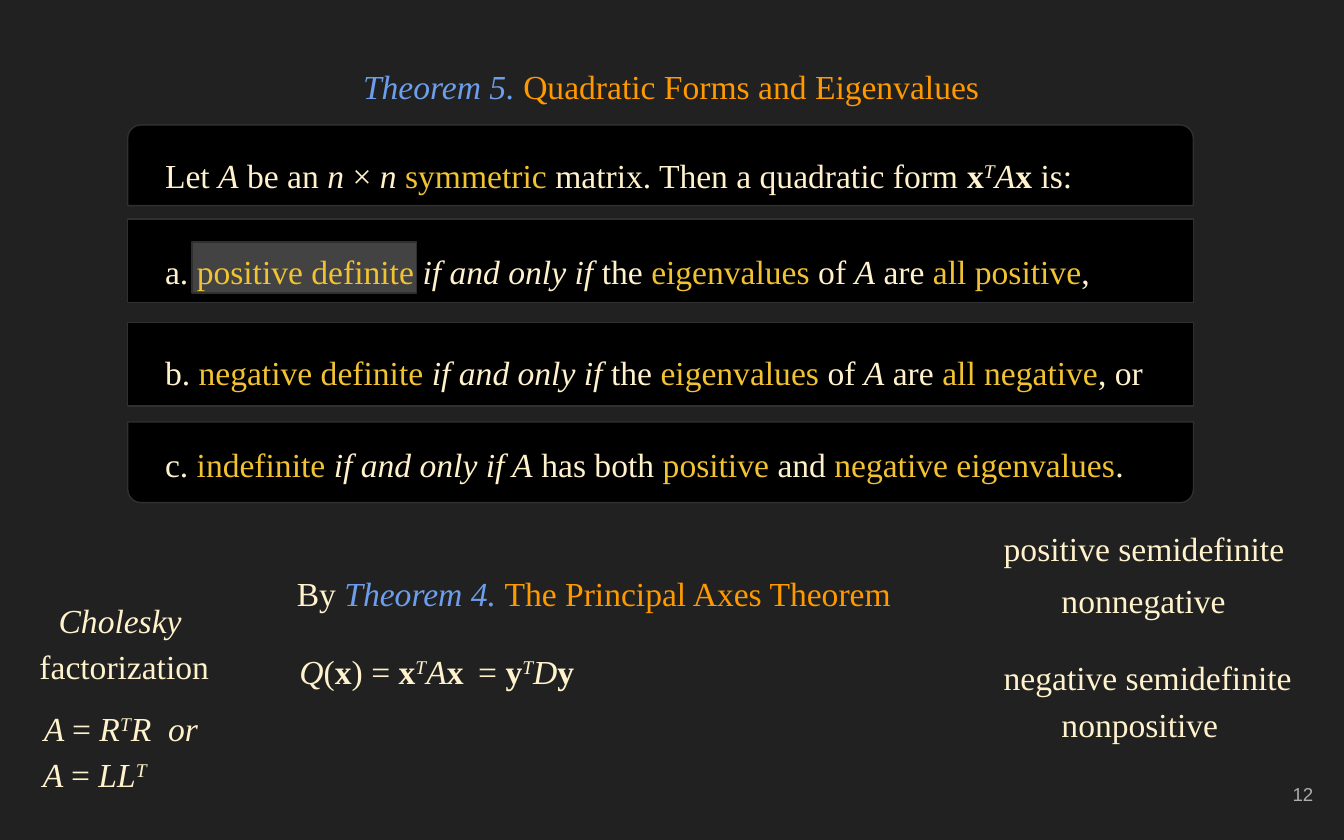
from pptx import Presentation
from pptx.dml.color import RGBColor
from pptx.enum import shapes, text
from pptx.util import Inches, Pt

BACKGROUND = RGBColor(0x21, 0x21, 0x21)
BLACK = RGBColor(0, 0, 0)
HIGHLIGHT = RGBColor(0x43, 0x43, 0x43)
BORDER = RGBColor(0x30, 0x30, 0x30)
CREAM = RGBColor(0xFF, 0xF2, 0xCC)
GOLD = RGBColor(0xF1, 0xC2, 0x32)
BLUE = RGBColor(0x6D, 0x9E, 0xEB)
ORANGE = RGBColor(0xFF, 0x99, 0x00)
GREY = RGBColor(0xAD, 0xAD, 0xAD)
SERIF = "Times New Roman"
LEFT, CENTER, RIGHT = text.PP_ALIGN.LEFT, text.PP_ALIGN.CENTER, text.PP_ALIGN.RIGHT
TOP, MIDDLE = text.MSO_ANCHOR.TOP, text.MSO_ANCHOR.MIDDLE


def plain(words, colour=CREAM):
    return words, colour, ""


def gold(words):
    return words, GOLD, ""


def italic(words, colour=CREAM):
    return words, colour, "i"


def bold(words):
    return words, CREAM, "b"


TRANSPOSE = ("T", CREAM, "i^")
QUADRATIC_FORM = [bold("x"), TRANSPOSE, italic("A"), bold("x")]


def definite_runs(letter, sign, ending):
    return [plain(f"{letter}. "), gold(f"{sign} definite "), italic("if and only if"),
            plain(" the "), gold("eigenvalues"), plain(" of "), italic("A"),
            plain(" are "), gold(f"all {sign}"), plain(ending)]


def prepare_frame(shape, anchor):
    frame = shape.text_frame
    frame.word_wrap = True
    frame.auto_size = text.MSO_AUTO_SIZE.NONE
    frame.vertical_anchor = anchor
    frame.margin_left = frame.margin_right = Inches(0.1)
    frame.margin_top = frame.margin_bottom = Inches(0.1)
    return frame


def add_runs(paragraph, runs, align=LEFT, spacing=1.0, size=18, font=SERIF):
    paragraph.alignment = align
    paragraph.line_spacing = spacing
    for words, colour, style in runs:
        run = paragraph.add_run()
        run.text = words
        run.font.name, run.font.size = font, Pt(size)
        run.font.color.rgb = colour
        run.font.bold = "b" in style
        run.font.italic = "i" in style
        if "^" in style:
            run.font._element.set("baseline", "30000")


def add_label(slide, box, runs, anchor=TOP, **style):
    label = slide.shapes.add_textbox(*map(Inches, box))
    frame = prepare_frame(label, anchor)
    add_runs(frame.paragraphs[0], runs, **style)
    return frame


def add_panel(slide, kind, box, fill, rotation=0):
    panel = slide.shapes.add_shape(kind, *map(Inches, box))
    panel.shadow.inherit = False
    panel.fill.solid()
    panel.fill.fore_color.rgb = fill
    panel.line.color.rgb = BORDER
    panel.line.width = Pt(0.75)
    panel.rotation = rotation


def add_title(slide, box):
    title = slide.shapes.title
    title.left, title.top, title.width, title.height = map(Inches, box)
    frame = prepare_frame(title, MIDDLE)
    add_runs(frame.paragraphs[0],
             [italic("Theorem 5. ", BLUE), plain("Quadratic Forms and Eigenvalues", ORANGE)],
             align=CENTER)


def add_theorem(slide, left, top, width):
    """Stack the statement and its three cases, rounding the outer corners."""
    rectangle = shapes.MSO_SHAPE.RECTANGLE
    rounded = shapes.MSO_SHAPE.ROUND_2_SAME_RECTANGLE
    statement = [plain("Let "), italic("A"), plain(" be an "), italic("n"), plain(" × "),
                 italic("n "), gold("symmetric"), plain(" matrix. Then a quadratic form "),
                 *QUADRATIC_FORM, plain(" is:")]
    indefinite = [plain("c. "), gold("indefinite "), italic("if and only if A"),
                  plain(" has both "), gold("positive "), plain("and "),
                  gold("negative eigenvalues"), plain(".")]
    # panel: offset, height, kind, rotation; text: offset, width, height, runs
    rows = [
        (0, 0.6, rounded, 0, 0.08, 7.1, 0.53, statement),
        (0.7, 0.62, rectangle, 0, 0.09, 7.22, 0.44, definite_runs("a", "positive", ",")),
        (1.47, 0.62, rectangle, 0, 0.07, 7.62, 0.48, definite_runs("b", "negative", ", or")),
        (2.21, 0.6, rounded, 180, 0.02, 7.5, 0.62, indefinite),
    ]
    for offset, height, kind, rotation, *_ in rows:
        add_panel(slide, kind, (left, top + offset, width, height), BLACK, rotation)
    add_panel(slide, rectangle, (left + 0.48, top + 0.87, 1.67, 0.38), HIGHLIGHT)
    for offset, _, _, _, inset, text_width, text_height, runs in rows:
        add_label(slide, (left + 0.18, top + offset + inset, text_width, text_height),
                  runs, spacing=1.15)


def add_principal_axes(slide, left, top):
    add_label(slide, (left, top, 4.86, 0.58),
              [plain("By "), italic("Theorem 4. ", BLUE),
               plain("The Principal Axes Theorem", ORANGE)],
              anchor=MIDDLE, align=CENTER)
    add_label(slide, (left + 0.14, top + 0.62, 1.54, 0.6),
              [italic("Q"), plain("("), bold("x"), plain(") = "), *QUADRATIC_FORM])
    add_label(slide, (left + 1.47, top + 0.62, 1.06, 0.53),
              [plain("= "), bold("y"), TRANSPOSE, italic("D"), bold("y")])


def add_semidefinite_notes(slide, left, top):
    notes = [(0, 0, 2.4, "positive semidefinite"), (0.43, 0.39, 1.54, "nonnegative"),
             (0, 0.96, 2.4, "negative semidefinite"), (0.43, 1.31, 1.54, "nonpositive")]
    for x, y, width, words in notes:
        add_label(slide, (left + x, top + y, width, 0.53), [plain(words)], spacing=1.15)


def add_cholesky(slide, left, top):
    heading = add_label(slide, (left, top, 1.85, 0.8), [italic("Cholesky ")],
                        align=CENTER, spacing=1.15)
    add_runs(heading.add_paragraph(), [plain("factorization")], align=CENTER, spacing=1.15)
    formulas = add_label(slide, (left + 0.03, top + 0.8, 1.74, 0.75),
                         [italic("A "), plain("= "), italic("R"), TRANSPOSE, italic("R  or")],
                         align=CENTER, spacing=1.15)
    lower = formulas.add_paragraph()
    add_runs(lower, [italic("A "), plain("="), italic(" LL"), TRANSPOSE], spacing=1.15)
    properties = lower._p.get_or_add_pPr()
    properties.set("marL", str(Inches(0.19)))
    properties.set("indent", "0")


def main():
    deck = Presentation()
    deck.slide_width, deck.slide_height = Inches(10), Inches(6.25)
    slide = deck.slides.add_slide(deck.slide_layouts[5])
    slide.background.fill.solid()
    slide.background.fill.fore_color.rgb = BACKGROUND
    add_title(slide, (0.48, 0.35, 9.03, 0.58))
    add_theorem(slide, 0.95, 0.93, 7.93)
    add_principal_axes(slide, 1.99, 4.12)
    add_semidefinite_notes(slide, 7.37, 3.78)
    add_cholesky(slide, 0, 4.32)
    add_label(slide, (9.27, 5.67, 0.6, 0.48), [plain("12", GREY)], anchor=MIDDLE,
              align=RIGHT, size=10, font="Arial")
    deck.save("out.pptx")


if __name__ == "__main__":
    main()
